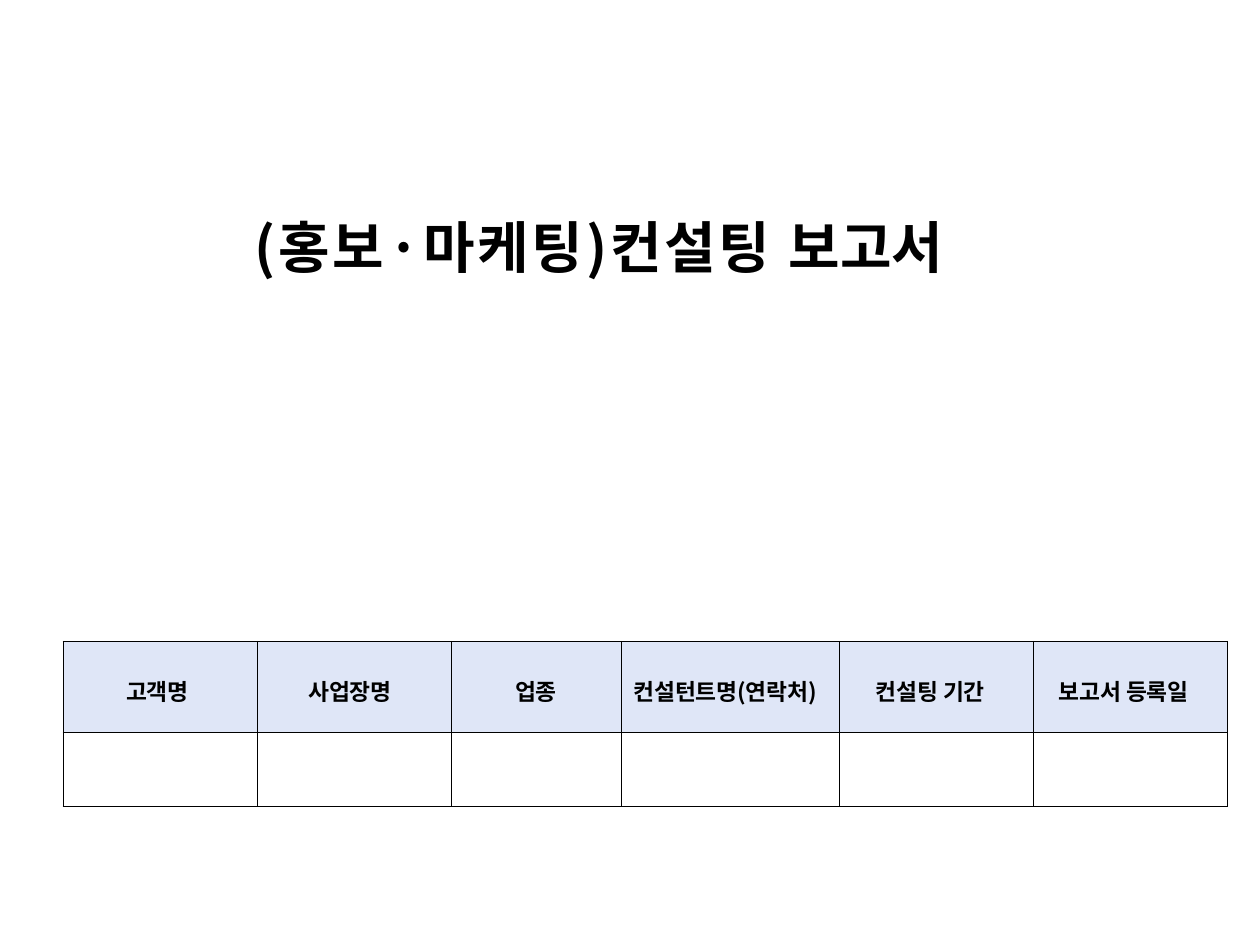
"""Build the cover slide of a marketing consulting report."""
import pptx
import pptx.dml.color
import pptx.enum.text
import pptx.util
from lxml import etree
from pptx.oxml.ns import qn
from pptx.util import Inches, Pt

BLACK = pptx.dml.color.RGBColor(0x00, 0x00, 0x00)
BLUE = pptx.dml.color.RGBColor(0xDF, 0xE6, 0xF7)
FACE = "Noto Sans CJK KR"
ALIGN = pptx.enum.text.PP_ALIGN
TOP = pptx.enum.text.MSO_ANCHOR.TOP


def write(para, parts, size):
    for text, space in parts:
        run = para.add_run()
        run.text = text
        run.font._element.set("spc", str(space))
    font = para.font
    font.size = Pt(size)
    font.bold = True
    font.color.rgb = BLACK
    font.name = FACE
    etree.SubElement(font._element, qn("a:ea"), typeface=FACE)


def border(cell):
    props = cell._tc.get_or_add_tcPr()
    for spot, side in enumerate(("lnL", "lnR", "lnT", "lnB")):
        line = etree.Element(qn("a:" + side), w=str(Pt(0.5)))
        fill = etree.SubElement(line, qn("a:solidFill"))
        etree.SubElement(fill, qn("a:srgbClr"), val=str(BLACK))
        props.insert(spot, line)


deck = pptx.Presentation()
deck.slide_width, deck.slide_height = Inches(10), Inches(7.5)
slide = deck.slides.add_slide(deck.slide_layouts[5])

title = slide.shapes.title
title.left, title.top = Inches(2.02), Inches(1.67)
title.width, title.height = Inches(5.73), Inches(0.56)
frame = title.text_frame
frame.margin_left = frame.margin_right = frame.margin_bottom = 0
frame.margin_top = Inches(0.02)
frame.vertical_anchor = TOP
frame.word_wrap = True
frame.auto_size = pptx.enum.text.MSO_AUTO_SIZE.NONE
para = frame.paragraphs[0]
para.alignment = ALIGN.LEFT
write(para, [("(홍보·마케팅)컨설팅 ", 160), ("보고서", -20)], 32)

heads = [
    (1.54, 0.5, [("고객명", -20)]),
    (1.54, 0.41, [("사업장명", -20)]),
    (1.35, 0, [("업종", -20)]),
    (1.73, 0.1, [("컨설턴트명(연락처)", -10)]),
    (1.54, 0.29, [("컨설팅 ", 0), ("기간", -20)]),
    (1.54, 0.2, [("보고서 ", 0), ("등록일", -20)]),
]
table = slide.shapes.add_table(
    2, len(heads), Inches(0.5), Inches(5.09), Inches(9.23), Inches(1.3)
).table
table.rows[0].height, table.rows[1].height = Inches(0.72), Inches(0.59)

for col, (width, left, parts) in enumerate(heads):
    table.columns[col].width = Inches(width)
    cell = table.cell(0, col)
    cell.margin_left = Inches(left)
    cell.margin_right = cell.margin_bottom = 0
    cell.margin_top = Inches(0.26)
    cell.vertical_anchor = TOP
    cell.fill.solid()
    cell.fill.fore_color.rgb = BLUE
    para = cell.text_frame.paragraphs[0]
    para.alignment = ALIGN.LEFT if left else ALIGN.CENTER
    write(para, parts, 13)
    table.cell(1, col).fill.background()

for cell in table.iter_cells():
    border(cell)

deck.save("out.pptx")
